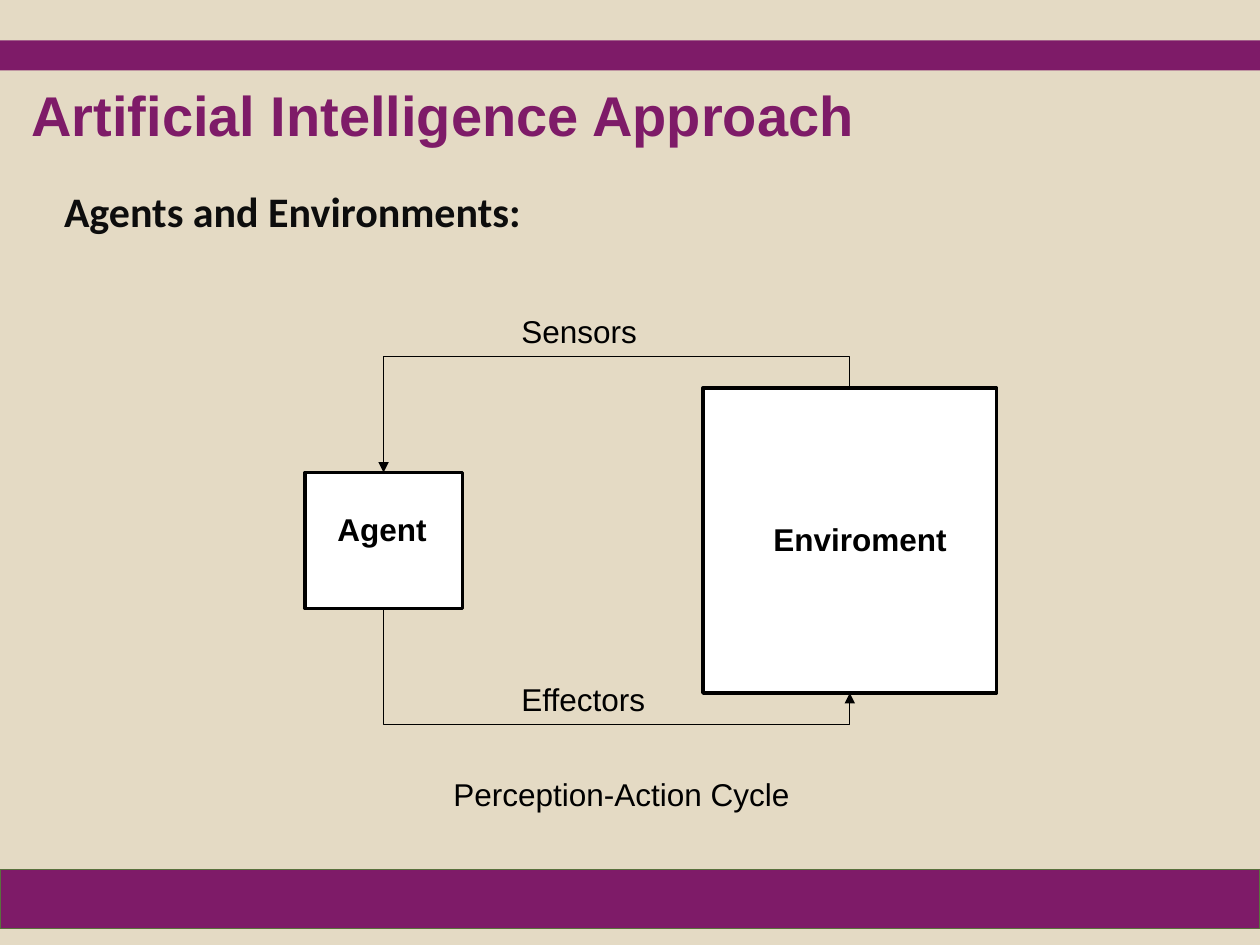
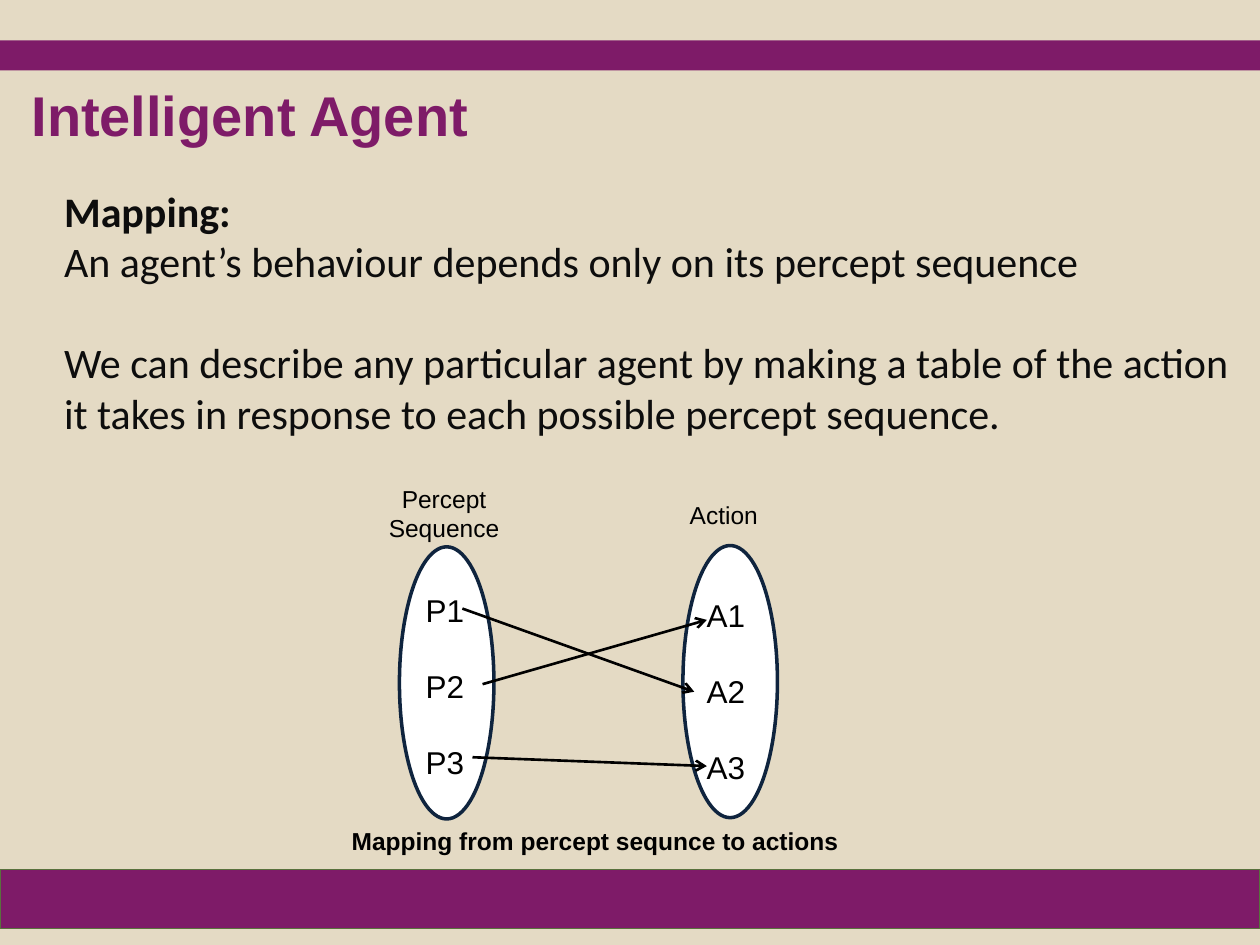
"""Build two slides on agents, their environment and percept-to-action mapping."""
from dataclasses import dataclass
from typing import NamedTuple, Optional

from lxml import etree
from pptx import Presentation
from pptx import util as u
from pptx.dml.color import RGBColor
from pptx.enum import shapes, text
from pptx.oxml import ns


@dataclass(frozen=True)
class Theme:
    background: str = "E4DAC4"
    accent: str = "7E1B68"
    band_edge: str = "59713D"
    body: str = "0D0D0D"
    ink: str = "000000"
    paper: str = "FFFFFF"
    oval_edge: str = "0F243E"
    diagram_font: str = "Arial"
    body_font: str = "Calibri"
    title_size: float = 32
    body_size: float = 24
    label_size: float = 18
    caption_size: float = 14
    body_gap: float = 29
    member_gap: float = 22


THEME = Theme()


class Box(NamedTuple):
    left: float
    top: float
    width: float
    height: float

    def lengths(self) -> list:
        return [u.Inches(value) for value in self]


class Para(NamedTuple):
    wording: str
    bold: bool = False
    gap: float = 0


class Style(NamedTuple):
    size: float
    font: str = THEME.diagram_font
    color: str = THEME.ink
    align: text.PP_ALIGN = text.PP_ALIGN.LEFT


class Figure(NamedTuple):
    box: Box
    fill: str
    edge: Optional[str] = None
    edge_width: float = 2
    preset: shapes.MSO_SHAPE = shapes.MSO_SHAPE.RECTANGLE


class Label(NamedTuple):
    box: Box
    paras: list
    style: Style


class Arrow(NamedTuple):
    start: tuple
    end: tuple


BODY = Style(THEME.body_size, THEME.body_font, THEME.body)
LABEL = Style(THEME.label_size)
CAPTION = Style(THEME.caption_size, align=text.PP_ALIGN.CENTER)
TITLE = Style(THEME.title_size, color=THEME.accent)
TITLE_BOX = Box(0.25, 0.6, 9.75, 0.81)
BANDS = [
    Figure(Box(0, 0.32, 10, 0.24), THEME.accent),
    Figure(Box(0, 6.9, 10, 0.47), THEME.accent, THEME.band_edge, 0.75),
]


def rgb(color: str) -> RGBColor:
    return RGBColor.from_string(color)


def write(frame, paras: list, style: Style) -> None:
    frame.text = "\n".join(para.wording for para in paras)
    for paragraph, para in zip(frame.paragraphs, paras):
        paragraph.alignment = style.align
        if para.gap:
            paragraph.space_before = u.Pt(para.gap)
        for run in paragraph.runs:
            run.font.size = u.Pt(style.size)
            run.font.name = style.font
            run.font.bold = para.bold
            run.font.color.rgb = rgb(style.color)


def add_figure(slide, figure: Figure):
    shape = slide.shapes.add_shape(figure.preset, *figure.box.lengths())
    shape.shadow.inherit = False
    shape.fill.solid()
    shape.fill.fore_color.rgb = rgb(figure.fill)
    if figure.edge:
        shape.line.color.rgb = rgb(figure.edge)
        shape.line.width = u.Pt(figure.edge_width)
    else:
        shape.line.fill.background()
    return shape


def add_label(slide, label: Label) -> None:
    frame = slide.shapes.add_textbox(*label.box.lengths()).text_frame
    frame.word_wrap = True
    frame.auto_size = text.MSO_AUTO_SIZE.SHAPE_TO_FIT_TEXT
    write(frame, label.paras, label.style)


def finish_arrow(connector, width: float, head: str) -> None:
    connector.line.color.rgb = rgb(THEME.ink)
    connector.line.width = u.Pt(width)
    properties = connector._element.spPr
    outline = properties.find(ns.qn("a:ln"))
    etree.SubElement(outline, ns.qn("a:tailEnd"), type=head)
    etree.SubElement(properties, ns.qn("a:effectLst"))


def add_arrow(slide, arrow: Arrow) -> None:
    ends = [u.Inches(value) for value in (*arrow.start, *arrow.end)]
    connector = slide.shapes.add_connector(shapes.MSO_CONNECTOR.STRAIGHT, *ends)
    finish_arrow(connector, 1.5, "arrow")


def add_loop(slide, source, target, site: int, turn: float) -> None:
    """Join the same side of two boxes by an elbow that turns at height turn."""
    connector = slide.shapes.add_connector(shapes.MSO_CONNECTOR.ELBOW, 0, 0, 0, 0)
    connector.begin_connect(source, site)
    connector.end_connect(target, site)
    x1, y1 = connector.begin_x, connector.begin_y
    x2, y2 = connector.end_x, connector.end_y
    drop, span = y2 - y1, abs(x2 - x1)
    connector.left = (x1 + x2 - drop) // 2
    connector.top = (y1 + y2 - span) // 2
    connector.width, connector.height = drop, span
    properties = connector._element.spPr
    frame = properties.find(ns.qn("a:xfrm"))
    frame.set("rot", str(270 * 60000))
    frame.set("flipH", "1")
    frame.set("flipV", str(int(x2 < x1)))
    adjustments = properties.find(ns.qn("a:prstGeom")).find(ns.qn("a:avLst"))
    bend = round((u.Inches(turn) - y1) / drop * 100000)
    etree.SubElement(adjustments, ns.qn("a:gd"), name="adj1", fmla=f"val {bend}")
    finish_arrow(connector, 0.75, "triangle")


def add_slide(deck, heading: str):
    slide = deck.slides.add_slide(deck.slide_layouts[5])
    for band in BANDS:
        add_figure(slide, band)
    title = slide.shapes.title
    title.left, title.top, title.width, title.height = TITLE_BOX.lengths()
    frame = title.text_frame
    frame.margin_left = frame.margin_right = frame.margin_bottom = 0
    frame.margin_top = u.Inches(0.04)
    frame.vertical_anchor = text.MSO_ANCHOR.TOP
    frame.auto_size = text.MSO_AUTO_SIZE.NONE
    write(frame, [Para(heading, True)], TITLE)
    return slide


def build_cycle(deck) -> None:
    slide = add_slide(deck, "Artificial Intelligence Approach")
    agent, environment = [
        add_figure(slide, Figure(box, THEME.paper, THEME.ink))
        for box in (Box(2.42, 3.75, 1.25, 1.08), Box(5.58, 3.08, 2.33, 2.42))
    ]
    add_loop(slide, environment, agent, 0, 2.83)
    add_loop(slide, agent, environment, 2, 5.75)
    labels = [
        Label(Box(0.41, 1.42, 9.59, 0.5), [Para("Agents and Environments:", True)], BODY),
        Label(Box(4.04, 2.43, 1.12, 0.4), [Para("Sensors")], LABEL),
        Label(Box(4.04, 5.35, 1.38, 0.4), [Para("Effectors")], LABEL),
        Label(Box(2.58, 4, 1.38, 0.4), [Para("Agent", True)], LABEL),
        Label(Box(6.04, 4.08, 2.04, 0.4), [Para("Enviroment", True)], LABEL),
        Label(Box(3.5, 6.1, 2.92, 0.4), [Para("Perception-Action Cycle")], LABEL),
    ]
    for label in labels:
        add_label(slide, label)


def members(letter: str) -> list:
    return [Para(f"{letter}{n}", gap=THEME.member_gap if n > 1 else 0) for n in (1, 2, 3)]


def build_mapping(deck) -> None:
    slide = add_slide(deck, "Intelligent Agent")
    for box in (Box(3.17, 4.34, 0.75, 2.16), Box(5.42, 4.33, 0.75, 2.16)):
        add_figure(slide, Figure(box, THEME.paper, THEME.oval_edge,
                                 preset=shapes.MSO_SHAPE.OVAL))
    explanation = [
        Para("Mapping:", True),
        Para("An agent’s behaviour depends only on its percept sequence"),
        Para("We can describe any particular agent by making a table of the action "
             "it takes in response to each possible percept sequence.", gap=THEME.body_gap),
    ]
    labels = [
        Label(Box(0.41, 1.42, 9.59, 2.12), explanation, BODY),
        Label(Box(3.28, 4.64, 0.58, 1.62), members("P"), LABEL),
        Label(Box(5.51, 4.68, 0.58, 1.62), members("A"), LABEL),
        Label(Box(2.86, 3.79, 1.33, 0.57), [Para("Percept"), Para("Sequence")], CAPTION),
        Label(Box(5.08, 3.92, 1.33, 0.34), [Para("Action")], CAPTION),
        Label(Box(2.42, 6.51, 4.61, 0.34),
              [Para("Mapping from percept sequnce to actions", True)], CAPTION),
    ]
    for label in labels:
        add_label(slide, label)
    for arrow in (
        Arrow((3.67, 4.83), (5.51, 5.49)),
        Arrow((3.83, 5.43), (5.61, 4.92)),
        Arrow((3.75, 6.01), (5.61, 6.08)),
    ):
        add_arrow(slide, arrow)


def main() -> None:
    deck = Presentation()
    deck.slide_width, deck.slide_height = u.Inches(10), u.Inches(7.5)
    backdrop = deck.slide_master.background.fill
    backdrop.solid()
    backdrop.fore_color.rgb = rgb(THEME.background)
    build_cycle(deck)
    build_mapping(deck)
    deck.save("out.pptx")


if __name__ == "__main__":
    main()
